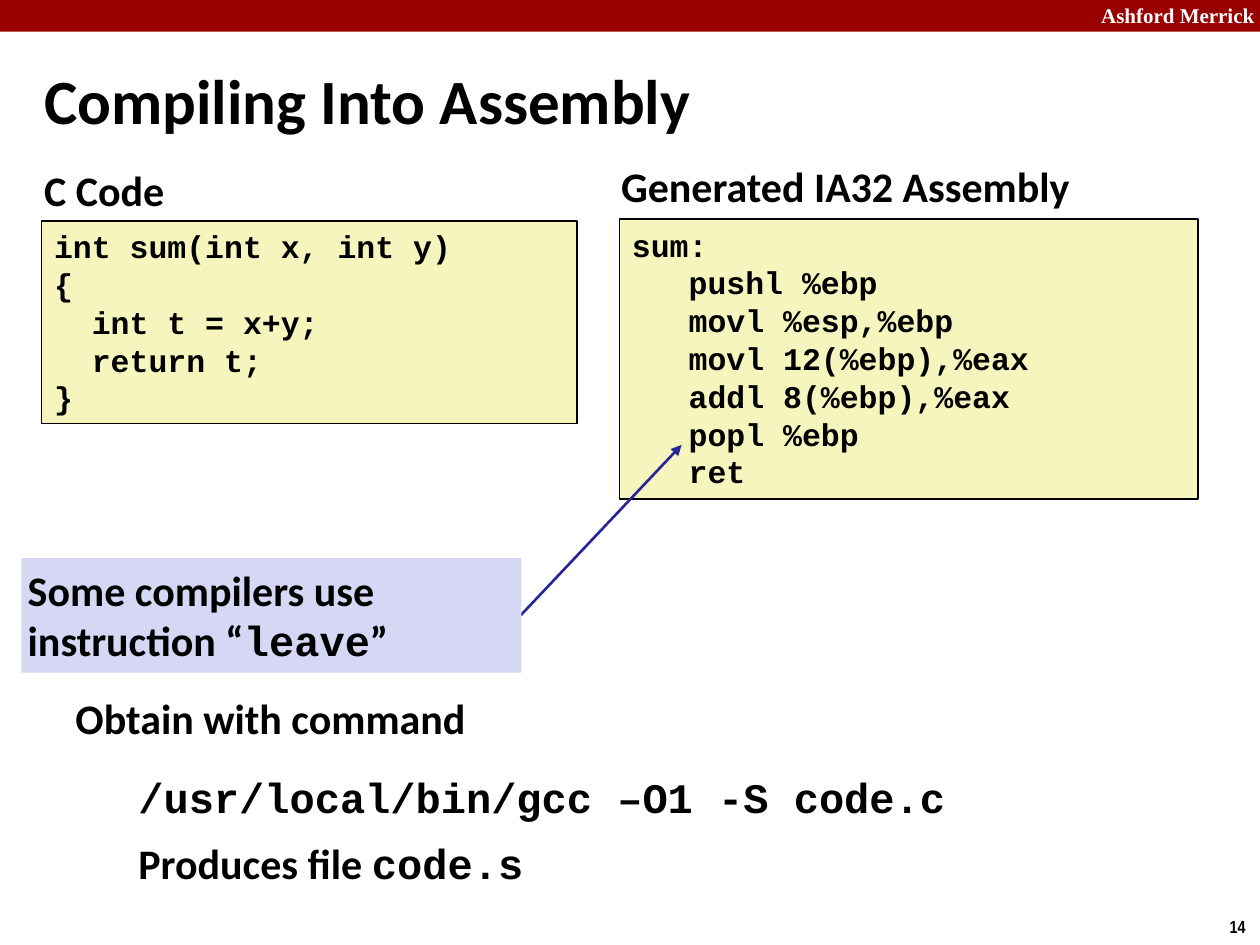
from dataclasses import dataclass
from typing import Optional

import pptx
import pptx.dml.color
import pptx.enum.shapes
import pptx.enum.text
import pptx.oxml
import pptx.oxml.ns
import pptx.util

Cm, Pt = pptx.util.Cm, pptx.util.Pt
ANCHOR = pptx.enum.text.MSO_ANCHOR
COLORS = {"banner": "990000", "code": "F6F5BD", "note": "D6D6F5",
          "arrow": "262699", "text": "000000", "light": "FFFFFF"}
BODY, MONO = "Calibri", "Courier New"


@dataclass
class Para:
    runs: list[tuple[str, str]]  # text and font name
    indent: float = 0
    before: float = 0


@dataclass
class Box:
    left: float
    top: float
    width: float
    height: float
    paras: list[Para]
    size: float = 24
    color: str = "text"
    fill: Optional[str] = None
    outlined: bool = False
    side: float = 0.25
    wrap: bool = True


def rgb(name: str) -> pptx.dml.color.RGBColor:
    return pptx.dml.color.RGBColor.from_string(COLORS[name])


def place(sp, left: float, top: float, width: float, height: float) -> None:
    sp.left, sp.top, sp.width, sp.height = map(Cm, (left, top, width, height))


def write(tf, paras: list[Para], size: float, color: str) -> None:
    for i, para in enumerate(paras):
        p = tf.add_paragraph() if i else tf.paragraphs[0]
        p.alignment = pptx.enum.text.PP_ALIGN.LEFT
        p.space_before = Pt(para.before)
        p.font.size, p.font.bold = Pt(size), True
        p.font.color.rgb = rgb(color)
        p.font.name = para.runs[0][1]
        if para.indent:
            p._p.get_or_add_pPr().set("marL", str(Cm(para.indent)))
        for text, font in para.runs:
            r = p.add_run()
            r.text = text
            r.font.name = font
            r.font.size, r.font.bold = Pt(size), True
            r.font.color.rgb = rgb(color)


def add_box(slide, box: Box) -> None:
    area = [Cm(v) for v in (box.left, box.top, box.width, box.height)]
    if box.fill:
        sp = slide.shapes.add_shape(pptx.enum.shapes.MSO_SHAPE.RECTANGLE, *area)
        sp.shadow.inherit = False
        sp.fill.solid()
        sp.fill.fore_color.rgb = rgb(box.fill)
        if box.outlined:
            sp.line.color.rgb = rgb("text")
            sp.line.width = Pt(1)
        else:
            sp.line.fill.background()
    else:
        sp = slide.shapes.add_textbox(*area)
    tf = sp.text_frame
    tf.word_wrap = box.wrap
    tf.vertical_anchor = ANCHOR.TOP
    tf.margin_left = tf.margin_right = Cm(box.side)
    tf.margin_top = tf.margin_bottom = Cm(0.13)
    write(tf, box.paras, box.size, box.color)


def add_arrow(slide, x1: float, y1: float, x2: float, y2: float) -> None:
    line = slide.shapes.add_connector(pptx.enum.shapes.MSO_CONNECTOR.STRAIGHT,
                                      Cm(x1), Cm(y1), Cm(x2), Cm(y2))
    line.line.color.rgb = rgb("arrow")
    line.line.width = Pt(1.5)
    qn = pptx.oxml.ns.qn
    ln = line.line._get_or_add_ln()
    ln.append(ln.makeelement(qn("a:tailEnd"), {"type": "triangle"}))
    sp_pr = line._element.spPr
    sp_pr.append(sp_pr.makeelement(qn("a:effectLst"), {}))


def plain(text: str, font: str = BODY) -> list[Para]:
    return [Para([(row, font)]) for row in text.split("\n")]


C_CODE = """int sum(int x, int y)
{
  int t = x+y;
  return t;
}"""
ASSEMBLY = """sum:
   pushl %ebp
   movl %esp,%ebp
   movl 12(%ebp),%eax
   addl 8(%ebp),%eax
   popl %ebp
   ret"""
COMMAND = [
    Para([("Obtain with command", BODY)]),
    Para([("/usr/local/bin/gcc –O1 -S code.c", MONO)], 1.27, 16),
    Para([("Produces file ", BODY), ("code.s", MONO)], 1.27, 9),
]
NOTE = [Para([("Some compilers use instruction “", BODY),
              ("leave", MONO), ("”", BODY)])]

BOXES = [
    # Banner and page number
    Box(0, 0, 25.4, 0.64, [], fill="banner"),
    Box(21.95, -0.08, 3.63, 0.76, plain("Ashford Merrick", "Times New Roman"),
        size=12, color="light"),
    Box(24.54, 18.34, 0.86, 0.69, plain("14", "Arial Narrow"), size=10, wrap=False),
    # Code panels with their headings
    Box(0.64, 3.18, 4.5, 1.02, plain("C Code")),
    Box(0.84, 4.45, 10.8, 4.09, plain(C_CODE, MONO), 18, fill="code", outlined=True),
    Box(12.27, 3.1, 11.43, 1.14, plain("Generated IA32 Assembly")),
    Box(12.49, 4.42, 11.66, 5.64, plain(ASSEMBLY, MONO), 18, fill="code", outlined=True),
    # Compiler command
    Box(1.27, 13.84, 20.75, 4.34, COMMAND),
]

prs = pptx.Presentation()
prs.slide_width, prs.slide_height = Cm(25.4), Cm(19.05)
slide = prs.slides.add_slide(prs.slide_layouts[5])

# Title
title = slide.shapes.title
place(title, 0.64, 1.22, 19.02, 1.55)
title.text_frame.vertical_anchor = ANCHOR.MIDDLE
write(title.text_frame, plain("Compiling Into Assembly"), 36, "text")

for box in BOXES:
    add_box(slide, box)

# Note pointing at the popl instruction
add_arrow(slide, 10.5, 12.4, 13.74, 8.97)
add_box(slide, Box(0.43, 11.25, 10.08, 2.31, NOTE, fill="note", side=0.13))

prs.save("out.pptx")
